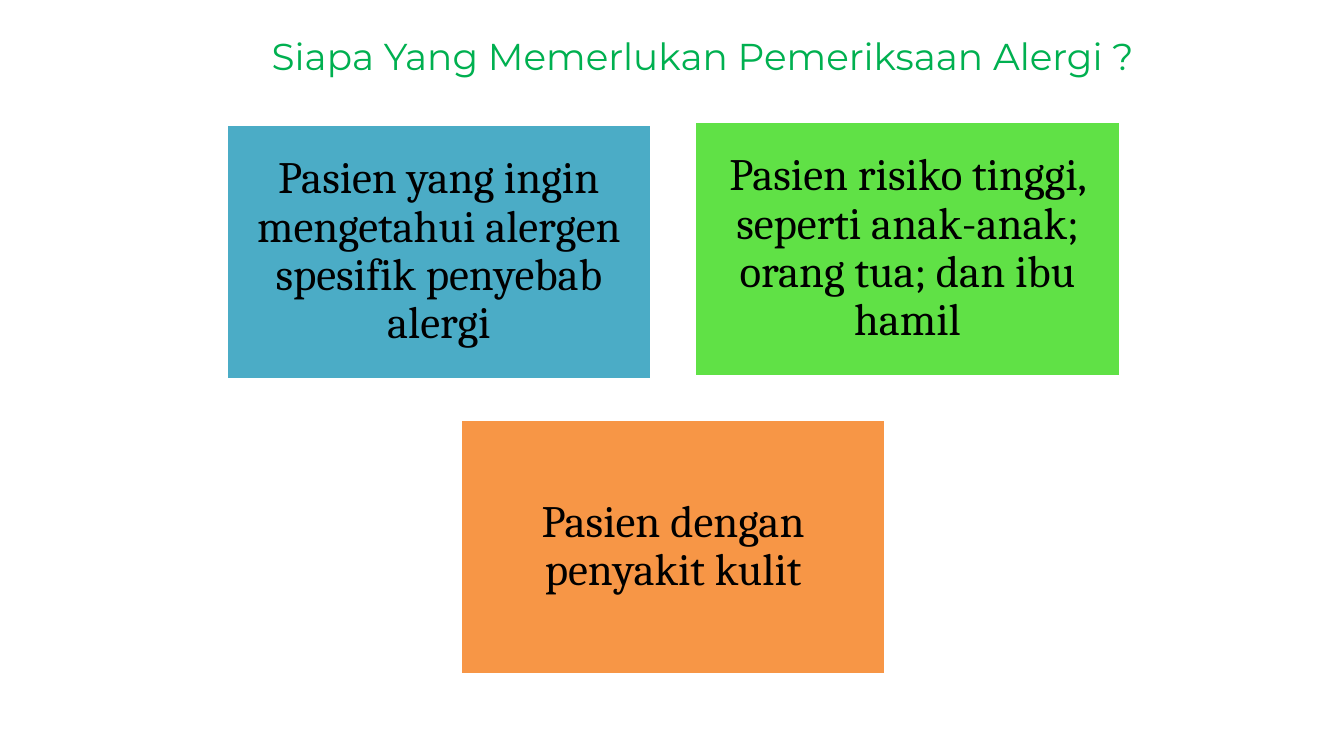
from pptx import Presentation
from pptx.dml.color import RGBColor as RGB
from pptx.enum.shapes import MSO_SHAPE as Shape
from pptx.enum.text import MSO_ANCHOR as Anchor, PP_ALIGN as Align
from pptx.util import Inches, Pt

GREEN = RGB(0x00, 0xB0, 0x50)
BLUE = RGB(0x4B, 0xAC, 0xC6)
LIME = RGB(0x60, 0xE1, 0x46)
ORANGE = RGB(0xF7, 0x96, 0x46)
BLACK = RGB(0x00, 0x00, 0x00)
WHITE = RGB(0xFF, 0xFF, 0xFF)

# Card grid, in inches: cards are 5:3, with gaps of a tenth of their width
LEFT, TOP = 1.68, 0.9
WIDTH = 3.17
HEIGHT = 0.6 * WIDTH
GAP = 0.1 * WIDTH

# Text, fill, column, row; the first card sits a touch lower than its neighbour
CARDS = [
    ("Pasien yang ingin mengetahui alergen spesifik penyebab alergi", BLUE, 0, 0.01),
    ("Pasien risiko tinggi, seperti anak-anak; orang tua; dan ibu hamil", LIME, 1, 0),
    ("Pasien dengan penyakit kulit", ORANGE, 0.5, 1),
]


def write(shape, text, font, size, color, spacing=1.0):
    """Fill the shape with one centred paragraph."""
    frame = shape.text_frame
    frame.word_wrap = True
    frame.vertical_anchor = Anchor.MIDDLE
    para = frame.paragraphs[0]
    para.alignment = Align.CENTER
    para.line_spacing = spacing
    run = para.add_run()
    run.text = text
    run.font.name = font
    run.font.size = Pt(size)
    run.font.color.rgb = color


def set_title(slide, text):
    title = slide.shapes.title
    title.left, title.top = Inches(1.38), Inches(0.15)
    title.width, title.height = Inches(7.7), Inches(0.53)
    write(title, text, "Montserrat", 20, GREEN)


def add_card(slide, text, fill, col, row):
    card = slide.shapes.add_shape(
        Shape.RECTANGLE,
        Inches(LEFT + col * (WIDTH + GAP)), Inches(TOP + row * (HEIGHT + GAP)),
        Inches(WIDTH), Inches(HEIGHT))
    card.shadow.inherit = False
    card.fill.solid()
    card.fill.fore_color.rgb = fill
    card.line.color.rgb = WHITE
    card.line.width = Pt(2)
    frame = card.text_frame
    frame.margin_left = frame.margin_right = Inches(0.1)
    frame.margin_top = frame.margin_bottom = Inches(0.1)
    write(card, text, "Cambria", 24, BLACK, 0.9)


def main():
    deck = Presentation()
    deck.slide_width = Inches(10)
    deck.slide_height = deck.slide_width * 9 // 16
    slide = deck.slides.add_slide(deck.slide_layouts[5])
    set_title(slide, "Siapa Yang Memerlukan Pemeriksaan Alergi ?")
    for card in CARDS:
        add_card(slide, *card)
    deck.save("out.pptx")


if __name__ == "__main__":
    main()
